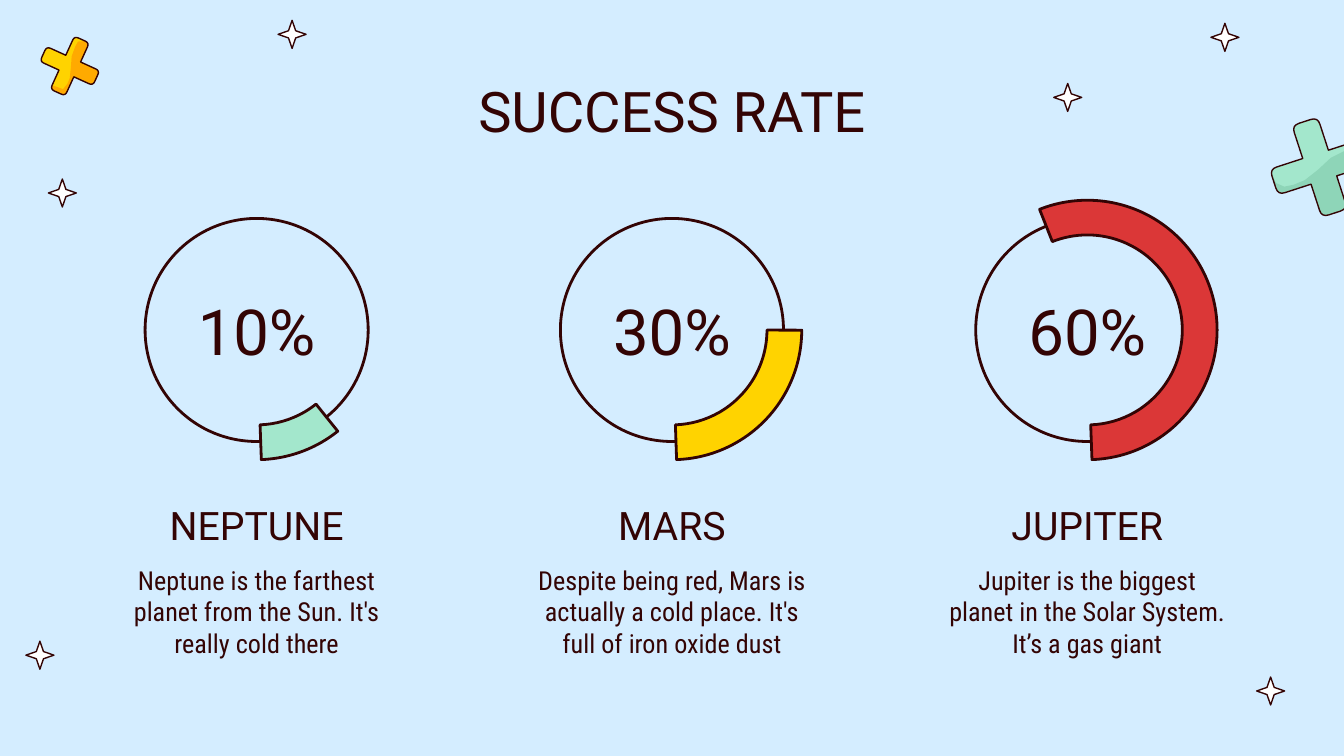
"""Build the success rate slide with three planet progress rings."""
from math import cos, radians, sin

from lxml.etree import SubElement
from pptx import Presentation
from pptx.dml.color import RGBColor
from pptx.enum.shapes import MSO_SHAPE as Preset
from pptx.enum.text import MSO_ANCHOR as Anchor, MSO_AUTO_SIZE as AutoSize, PP_ALIGN as Align
from pptx.oxml.ns import qn
from pptx.util import Pt

SKY = RGBColor(0xD4, 0xED, 0xFF)
INK = RGBColor(0x33, 0x04, 0x04)
WHITE = RGBColor(0xFF, 0xFF, 0xFF)
MINT = RGBColor(0xA3, 0xE7, 0xCC)
DARK_MINT = RGBColor(0x8E, 0xD5, 0xB8)
YELLOW = RGBColor(0xFF, 0xD3, 0x00)
ORANGE = RGBColor(0xFF, 0xAA, 0x00)
RED = RGBColor(0xDB, 0x37, 0x37)

TITLE = "SUCCESS RATE"
PLANETS = [
    ("NEPTUNE", "10%", MINT, 321.34,
     "Neptune is the farthest planet from the Sun. It's really cold there"),
    ("MARS", "30%", YELLOW, 270.1,
     "Despite being red, Mars is actually a cold place. It's full of iron oxide dust"),
    ("JUPITER", "60%", RED, 158.4,
     "Jupiter is the biggest planet in the Solar System. It’s a gas giant"),
]
STARS = [(156.5, 18.4), (33.4, 103.4), (656.2, 20), (572, 52.2), (21.4, 351), (680.7, 370.2)]
CROSSES = [
    {"center": (707, 89.6), "reach": 25.8, "angle": -18, "fill": MINT, "shade": DARK_MINT,
     "corners": (4, 9),
     "divider": [(681.2, 92.4), (683.5, 98), (688, 100), (693, 99), (699, 96.5),
                 (706, 91), (713, 84.5), (721, 80.5), (726, 79.2)]},
    {"center": (37.4, 35.4), "reach": 15.6, "angle": 24.5, "fill": YELLOW, "shade": ORANGE,
     "corners": (1, 7),
     "divider": [(33.8, 47.8), (36.2, 44.8), (37.4, 41.8), (38, 36),
                 (38.4, 30.2), (40.3, 25), (41.8, 22.3)]},
]

FIRST_CENTER, COLUMN_STEP, RING_CENTER = 137.5, 222.5, 176.8
COLUMN_WIDTH, RING_SIZE, ARC_SIZE, STAR_SIZE = 162.7, 119.5, 139, 15
ARC_END = 357.96


def paint(shape, fill=None, line_width=None):
    shape.shadow.inherit = False
    if fill is None:
        shape.fill.background()
    else:
        shape.fill.solid()
        shape.fill.fore_color.rgb = fill
    if line_width is None:
        shape.line.fill.background()
    else:
        shape.line.color.rgb = INK
        shape.line.width = Pt(line_width)


def add_centered(slide, preset, x, y, size, fill, line_width):
    shape = slide.shapes.add_shape(
        preset, Pt(x - size / 2), Pt(y - size / 2), Pt(size), Pt(size))
    paint(shape, fill, line_width)
    return shape


def add_outline(slide, points, fill=None, line_width=None):
    points = [(Pt(x), Pt(y)) for x, y in points]
    builder = slide.shapes.build_freeform(*points[0])
    builder.add_line_segments(points[1:], close=True)
    paint(builder.convert_to_shape(), fill, line_width)


def cross_corners(center, reach, angle):
    """Return twelve corners, each as a list of points, clockwise from the top arm."""
    half, radius = reach * 0.28, reach * 0.15
    turn = radians(angle)
    quarter = [(-half, -reach), (half, -reach), (half, -half)]
    corners = []
    for quadrant in range(4):
        for x, y in quarter:
            corners.append((x, y))
        quarter = [(-y, x) for x, y in quarter]
    result = []
    for index, (x, y) in enumerate(corners):
        ends = []
        for other_x, other_y in (corners[index - 1], corners[(index + 1) % 12]):
            share = 0 if index % 3 == 2 else radius / (abs(other_x - x) + abs(other_y - y))
            ends.append((x + (other_x - x) * share, y + (other_y - y) * share))
        curve = []
        for t in (0, 0.25, 0.5, 0.75, 1):
            px, py = ((1 - t) ** 2 * a + 2 * t * (1 - t) * b + t * t * c
                      for a, b, c in zip(ends[0], (x, y), ends[1]))
            curve.append((center[0] + px * cos(turn) - py * sin(turn),
                          center[1] + px * sin(turn) + py * cos(turn)))
        result.append(curve)
    return result


def add_cross(slide, cross):
    corners = cross_corners(cross["center"], cross["reach"], cross["angle"])
    first, last = cross["corners"]
    outline = sum(corners, [])
    add_outline(slide, outline, cross["fill"])
    add_outline(slide, sum(corners[first:last + 1], []) + cross["divider"], cross["shade"])
    add_outline(slide, outline, line_width=0.75)


def set_text(shape, text, box, size, font="Roboto", anchor=Anchor.TOP):
    shape.left, shape.top, shape.width, shape.height = map(Pt, box)
    frame = shape.text_frame
    frame.text = text
    frame.word_wrap = True
    frame.auto_size = AutoSize.NONE
    frame.vertical_anchor = anchor
    frame.margin_left = frame.margin_right = frame.margin_top = frame.margin_bottom = Pt(7.2)
    paragraph = frame.paragraphs[0]
    properties = paragraph._p.get_or_add_pPr()
    properties.set("marL", "0")
    properties.set("indent", "0")
    SubElement(properties, qn("a:buNone"))
    paragraph.alignment = Align.CENTER
    paragraph.space_before = Pt(0)
    paragraph.line_spacing = 1.0
    paragraph.font.name = font
    paragraph.font.size = Pt(size)
    paragraph.font.bold = False
    paragraph.font.color.rgb = INK


def add_planet(slide, planet, center, body):
    name, percent, color, arc_start, description = planet
    add_centered(slide, Preset.OVAL, center, RING_CENTER, RING_SIZE, None, 1.5)
    arc = add_centered(slide, Preset.BLOCK_ARC, center, RING_CENTER, ARC_SIZE, color, 1.5)
    arc.rotation = 90
    for index, value in enumerate((arc_start * 0.6, ARC_END * 0.6, 0.134)):
        arc.adjustments[index] = value
    left = center - COLUMN_WIDTH / 2
    set_text(body, description, (left, 295.2, COLUMN_WIDTH, 54.7), 14, "Roboto Condensed")
    labels = [(name, (left, 261.4, COLUMN_WIDTH, 35.3), 21, Anchor.TOP),
              (percent, (center - 47, RING_CENTER - 22.6, 94, 45.2), 34, Anchor.MIDDLE)]
    for text, box, size, anchor in labels:
        textbox = slide.shapes.add_textbox(*map(Pt, box))
        set_text(textbox, text, box, size, anchor=anchor)


def main():
    presentation = Presentation()
    presentation.slide_width, presentation.slide_height = Pt(720), Pt(405)
    slide = presentation.slides.add_slide(presentation.slide_layouts.get_by_name("Comparison"))
    slide.background.fill.solid()
    slide.background.fill.fore_color.rgb = SKY
    for cross in CROSSES:
        add_cross(slide, cross)
    for x, y in STARS:
        star = add_centered(slide, Preset.STAR_4_POINT, x, y, STAR_SIZE, WHITE, 0.75)
        star.adjustments[0] = 0.182
    set_text(slide.shapes.title, TITLE, (56.2, 33.8, 607.6, 36.7), 30)
    bodies = list(slide.placeholders)[1:]
    for index, planet in enumerate(PLANETS):
        add_planet(slide, planet, FIRST_CENTER + index * COLUMN_STEP, bodies[index])
    for placeholder in bodies[len(PLANETS):]:
        placeholder.element.getparent().remove(placeholder.element)
    presentation.save("out.pptx")


if __name__ == "__main__":
    main()
